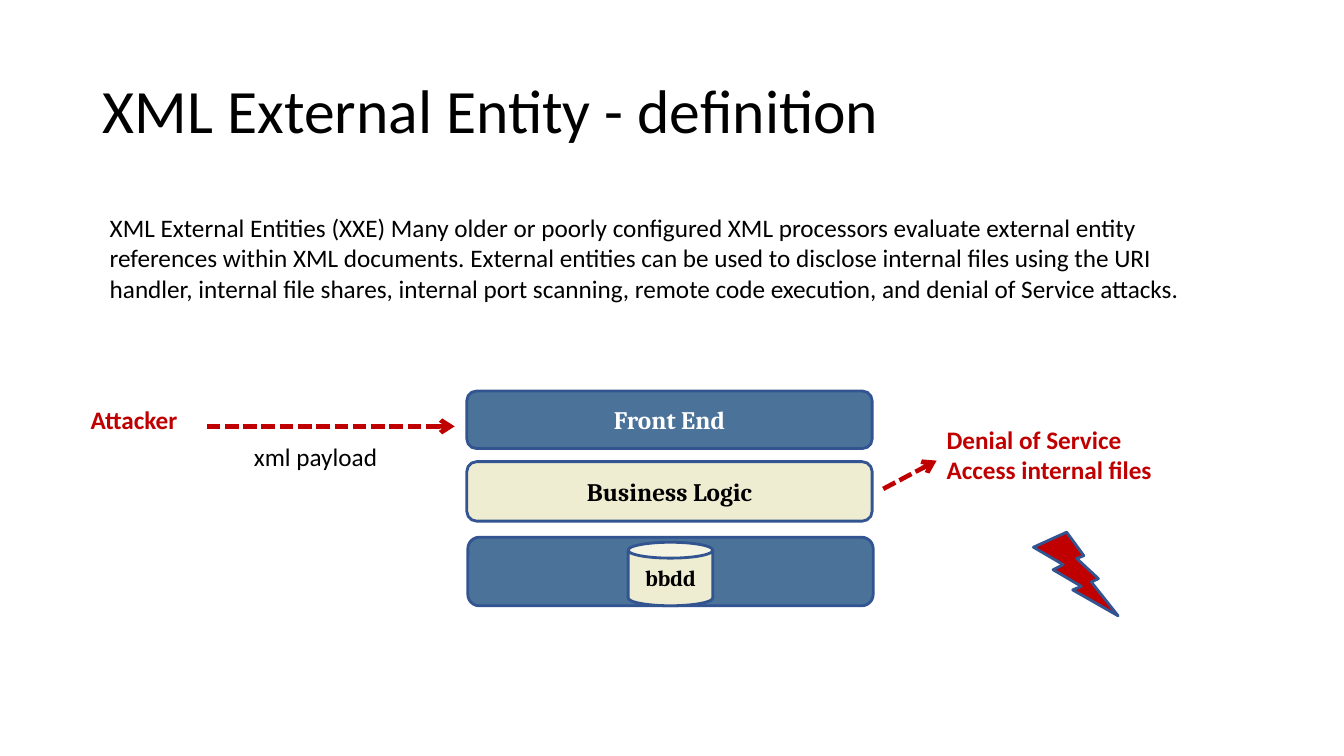
from pptx import Presentation
from pptx import util as u
from pptx.dml.color import RGBColor
from pptx.enum import dml, shapes, text
from pptx.oxml.ns import qn
from lxml import etree

BLACK = RGBColor(0x00, 0x00, 0x00)
WHITE = RGBColor(0xFF, 0xFF, 0xFF)
RED = RGBColor(0xC0, 0x00, 0x00)
BLUE = RGBColor(0x4B, 0x73, 0x99)
CREAM = RGBColor(0xEF, 0xED, 0xD1)
EDGE = RGBColor(0x32, 0x54, 0x91)

SCALE = 9144  # EMU per px, 100 px to the inch
FORM = shapes.MSO_SHAPE


def px(*sizes):
    return [u.Emu(size * SCALE) for size in sizes]


class Deck:
    """Holds the style and the current slide."""

    sans, serif = "Calibri", "Cambria"

    def __init__(self):
        self.prs = Presentation()
        self.prs.slide_width, self.prs.slide_height = px(1333, 750)
        self.slide = self.prs.slides.add_slide(self.prs.slide_layouts[5])

    def put(self, para, words, size, color, font, bold=False):
        run = para.add_run()
        run.text = words
        run.font.name, run.font.size = font, u.Pt(size)
        run.font.bold, run.font.color.rgb = bold, color

    def title(self, box, words):
        head = self.slide.shapes.title
        head.left, head.top, head.width, head.height = px(*box)
        frame = head.text_frame
        frame.auto_size = text.MSO_AUTO_SIZE.NONE
        frame.vertical_anchor = text.MSO_ANCHOR.MIDDLE
        para = frame.paragraphs[0]
        para.alignment, para.line_spacing = text.PP_ALIGN.LEFT, 0.9
        self.put(para, words, 44, BLACK, self.sans)

    def label(self, box, lines, color=BLACK, bold=False):
        frame = self.slide.shapes.add_textbox(*px(*box)).text_frame
        frame.word_wrap = True
        for i, line in enumerate(lines):
            para = frame.add_paragraph() if i else frame.paragraphs[0]
            self.put(para, line, 18, color, self.sans, bold)

    def block(self, form, box, fill, words="", color=BLACK, size=18):
        shape = self.slide.shapes.add_shape(form, *px(*box))
        shape.shadow.inherit = False
        shape.fill.solid()
        shape.fill.fore_color.rgb = fill
        shape.line.color.rgb, shape.line.width = EDGE, u.Pt(2)
        if words:
            frame = shape.text_frame
            frame.word_wrap = True
            frame.vertical_anchor = text.MSO_ANCHOR.MIDDLE
            para = frame.paragraphs[0]
            para.alignment = text.PP_ALIGN.CENTER
            self.put(para, words, size, color, self.serif, True)

    def arrow(self, *ends):
        link = self.slide.shapes.add_connector(
            shapes.MSO_CONNECTOR.STRAIGHT, *px(*ends))
        link.line.color.rgb, link.line.width = RED, u.Pt(3.25)
        link.line.dash_style = dml.MSO_LINE.SQUARE_DOT
        props = link._element.spPr
        etree.SubElement(props.find(qn("a:ln")), qn("a:tailEnd"), type="arrow")
        etree.SubElement(props, qn("a:effectLst"))


def main():
    deck = Deck()

    # Title and definition
    deck.title((92, 40, 1150, 145), "XML External Entity - definition")
    deck.label((99, 206, 1116, 130), [
        "XML External Entities (XXE) Many older or poorly configured XML "
        "processors evaluate external entity references within XML documents. "
        "External entities can be used to disclose internal files using the "
        "URI handler, internal file shares, internal port scanning, remote "
        "code execution, and denial of Service attacks."])

    # Application tiers
    deck.block(FORM.ROUNDED_RECTANGLE, (464, 533, 402, 68), BLUE)
    deck.block(FORM.CAN, (623, 538, 84, 63), CREAM, "bbdd", size=16)
    deck.block(FORM.ROUNDED_RECTANGLE, (463, 458, 402, 59), CREAM,
               "Business Logic")
    deck.block(FORM.ROUNDED_RECTANGLE, (463, 388, 402, 57), BLUE,
               "Front End", WHITE)

    # Attack on the front end
    deck.label((80, 396, 225, 40), ["Attacker"], RED, True)
    deck.arrow(205, 423, 451, 423)
    deck.label((242, 433, 271, 40), ["xml payload"])

    # Impact
    deck.arrow(876, 485, 929, 457)
    deck.label((929, 416, 326, 70),
               ["Denial of Service", "Access internal files"], RED, True)
    deck.block(FORM.LIGHTNING_BOLT, (1025, 528, 84, 83), RED)

    deck.prs.save("out.pptx")


if __name__ == "__main__":
    main()
